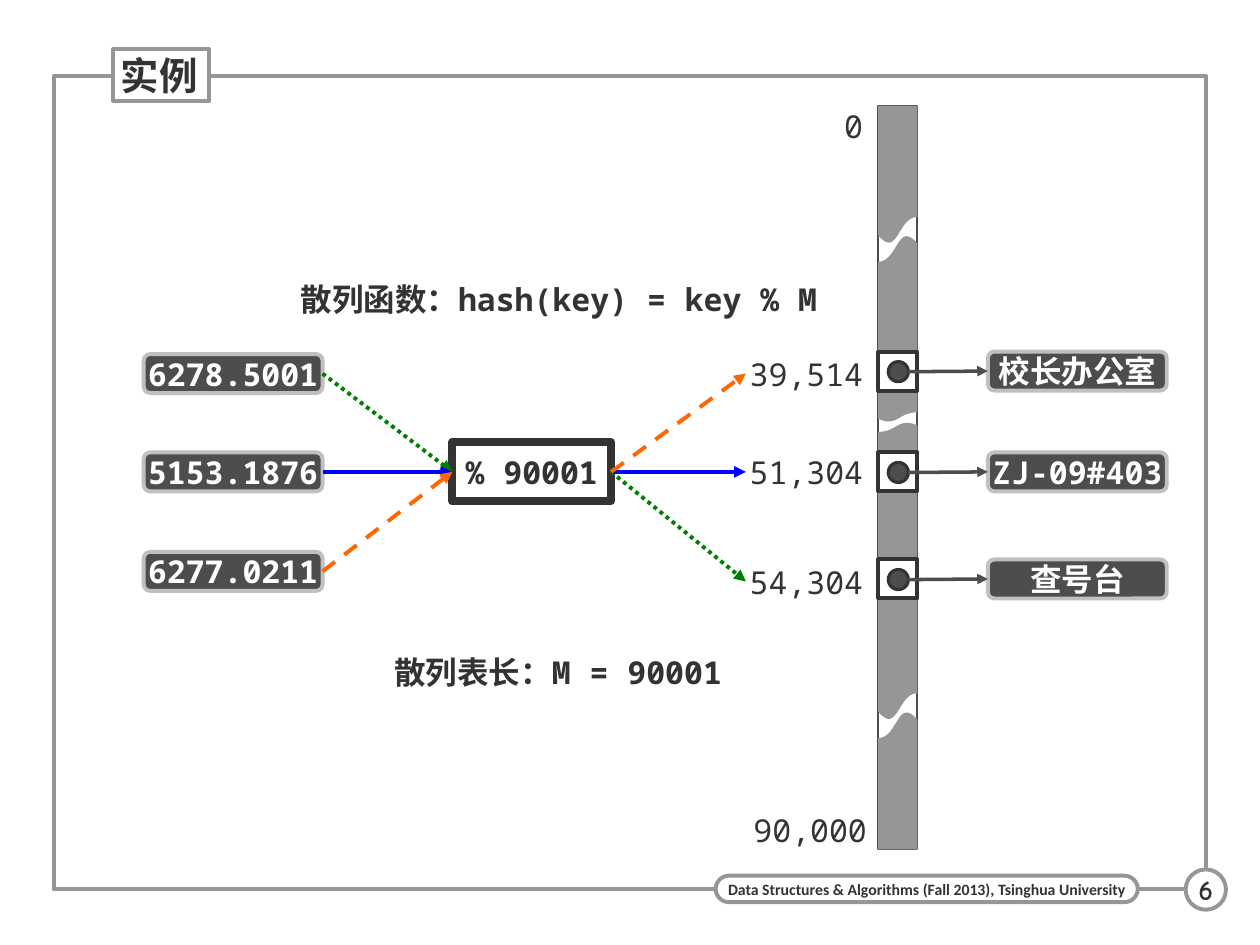
from dataclasses import dataclass

from lxml import etree
from pptx import Presentation
from pptx.dml.color import RGBColor
from pptx.enum.dml import MSO_LINE
from pptx.enum.shapes import MSO_CONNECTOR, MSO_SHAPE
from pptx.enum.text import MSO_ANCHOR, PP_ALIGN
from pptx.oxml.ns import qn
from pptx.util import Inches, Pt


@dataclass(frozen=True)
class Theme:
    dark: str = "333333"
    box: str = "4D4D4D"
    gray: str = "969696"
    light: str = "C0C0C0"
    white: str = "FFFFFF"
    green: str = "008000"
    blue: str = "0000FF"
    orange: str = "FF6600"
    font: str = "Noto Sans Mono"
    footer_font: str = "Calibri"
    number_font: str = "Comic Neue"
    title: int = 22
    body: int = 18
    number: int = 16
    footer: int = 9


theme = Theme()
presentation = Presentation()
presentation.slide_width, presentation.slide_height = Inches(10), Inches(7.5)
slide = presentation.slides.add_slide(presentation.slide_layouts[6])


def add_box(kind, left, top, width, height, fill=None, line=None, weight=2.25,
            text=None, size=theme.body, font=theme.font, color=theme.dark,
            bold=True, align=PP_ALIGN.CENTER, anchor=MSO_ANCHOR.MIDDLE, inset=0.04):
    """Add a preset shape, or a text box when kind is None, with optional text."""
    position = [Inches(value) for value in (left, top, width, height)]
    if kind is None:
        shape = slide.shapes.add_textbox(*position)
    else:
        shape = slide.shapes.add_shape(kind, *position)
        shape.shadow.inherit = False
        if fill:
            shape.fill.solid()
            shape.fill.fore_color.rgb = RGBColor.from_string(fill)
        else:
            shape.fill.background()
        if line:
            shape.line.color.rgb = RGBColor.from_string(line)
            shape.line.width = Pt(weight)
        else:
            shape.line.fill.background()
    if text:
        frame = shape.text_frame
        frame.word_wrap = False
        frame.vertical_anchor = anchor
        frame.margin_left = frame.margin_right = Inches(inset)
        frame.margin_top = frame.margin_bottom = Inches(min(inset, 0.04))
        paragraph = frame.paragraphs[0]
        paragraph.alignment = align
        run = paragraph.add_run()
        run.text = text
        run.font.size, run.font.bold, run.font.name = Pt(size), bold, font
        run.font.color.rgb = RGBColor.from_string(color)
        east_asian = etree.SubElement(run.font._element, qn("a:ea"))
        east_asian.set("typeface", font)
    return shape


def add_arrow(source, target, color, weight=2.25, dash=None):
    """Draw an arrow from the right side of source to the left side of target."""
    arrow = slide.shapes.add_connector(
        MSO_CONNECTOR.STRAIGHT,
        source.left + source.width, source.top + source.height // 2,
        target.left, target.top + target.height // 2)
    if source.auto_shape_type != MSO_SHAPE.OVAL:
        arrow.begin_connect(source, 3)
    arrow.end_connect(target, 1)
    arrow.line.color.rgb = RGBColor.from_string(color)
    arrow.line.width = Pt(weight)
    if dash:
        arrow.line.dash_style = dash
    etree.SubElement(arrow.line._get_or_add_ln(), qn("a:tailEnd")).set("type", "triangle")
    etree.SubElement(arrow._element.spPr, qn("a:effectLst"))


# Page frame, footer, page number and title
add_box(MSO_SHAPE.RECTANGLE, 0.43, 0.6, 9.14, 6.46, line=theme.gray)
footer = add_box(MSO_SHAPE.ROUNDED_RECTANGLE, 5.68, 6.95, 3.35, 0.21, theme.white, theme.gray,
                 text="Data Structures & Algorithms (Fall 2013), Tsinghua University",
                 size=theme.footer, font=theme.footer_font, inset=0)
footer.adjustments[0] = 0.5
add_box(MSO_SHAPE.OVAL, 9.41, 6.9, 0.32, 0.32, theme.white, theme.gray,
        text="6", size=theme.number, font=theme.number_font)
add_box(MSO_SHAPE.RECTANGLE, 0.9, 0.39, 0.76, 0.41, theme.white, theme.gray,
        text="实例", size=theme.title, align=PP_ALIGN.LEFT, inset=0.06)

# Bucket array: an outlined column with wavy breaks
column_left, cell = 6.97, 0.31
add_box(MSO_SHAPE.RECTANGLE, column_left, 0.84, cell, 5.9, line=theme.box, weight=1.25)
add_box(MSO_SHAPE.RECTANGLE, column_left, 3.75, cell, 0.87, theme.gray)
for upper_top, lower_top, height in [(0.84, 1.86, 1.1), (2.96, 3.35, 0.39), (4.62, 5.64, 1.1)]:
    add_box(MSO_SHAPE.FLOWCHART_DOCUMENT, column_left, upper_top, cell, height, theme.gray)
    lower = add_box(MSO_SHAPE.FLOWCHART_DOCUMENT, column_left, lower_top, cell, height, theme.gray)
    lower.rotation = 180

# Occupied buckets, each with its address and its entry
label = dict(fill=theme.box, line=theme.light, color=theme.white)
address_style = dict(bold=False, align=PP_ALIGN.RIGHT, inset=0)
address_left, address_width = 5.92, 0.93
addresses = []
for address, address_top, cell_top, entry in [
    ("39,514", 2.81, 2.79, "校长办公室"),
    ("51,304", 3.59, 3.59, "ZJ-09#403"),
    ("54,304", 4.46, 4.44, "查号台"),
]:
    add_box(MSO_SHAPE.RECTANGLE, column_left, cell_top, cell, cell, theme.white, theme.dark)
    addresses.append(add_box(None, address_left, address_top, address_width, cell,
                             text=address, **address_style))
    dot = add_box(MSO_SHAPE.OVAL, 7.05, cell_top + 0.08, 0.16, 0.16, theme.box, theme.dark, 1.75)
    entry_box = add_box(MSO_SHAPE.ROUNDED_RECTANGLE, 7.84, cell_top, 1.42, cell, text=entry, **label)
    add_arrow(dot, entry_box, theme.box, 2)

# First and last address
add_box(None, address_left, 0.84, address_width, cell, text="0", **address_style)
add_box(None, 5.94, 6.43, 0.94, cell, text="90,000", **address_style)

# Keys pass through the hash function to their addresses
modulo = add_box(MSO_SHAPE.RECTANGLE, 3.59, 3.51, 1.26, 0.47, theme.white, theme.dark, 4.5,
                 text="% 90001")
for key, top, address_box, color, dash in [
    ("6278.5001", 2.81, addresses[2], theme.green, MSO_LINE.ROUND_DOT),
    ("5153.1876", 3.59, addresses[1], theme.blue, None),
    ("6277.0211", 4.38, addresses[0], theme.orange, MSO_LINE.DASH),
]:
    key_box = add_box(MSO_SHAPE.ROUNDED_RECTANGLE, 1.14, top, 1.42, cell, text=key, **label)
    add_arrow(key_box, modulo, color, dash=dash)
    add_arrow(modulo, address_box, color, dash=dash)

# Formulas
for text, left, top, width in [
    ("散列函数：hash(key) = key % M", 2.31, 2.18, 4.25),
    ("散列表长：M = 90001", 3.06, 5.14, 2.74),
]:
    add_box(None, left, top, width, 0.38, text=text, anchor=MSO_ANCHOR.TOP)

presentation.save("out.pptx")
